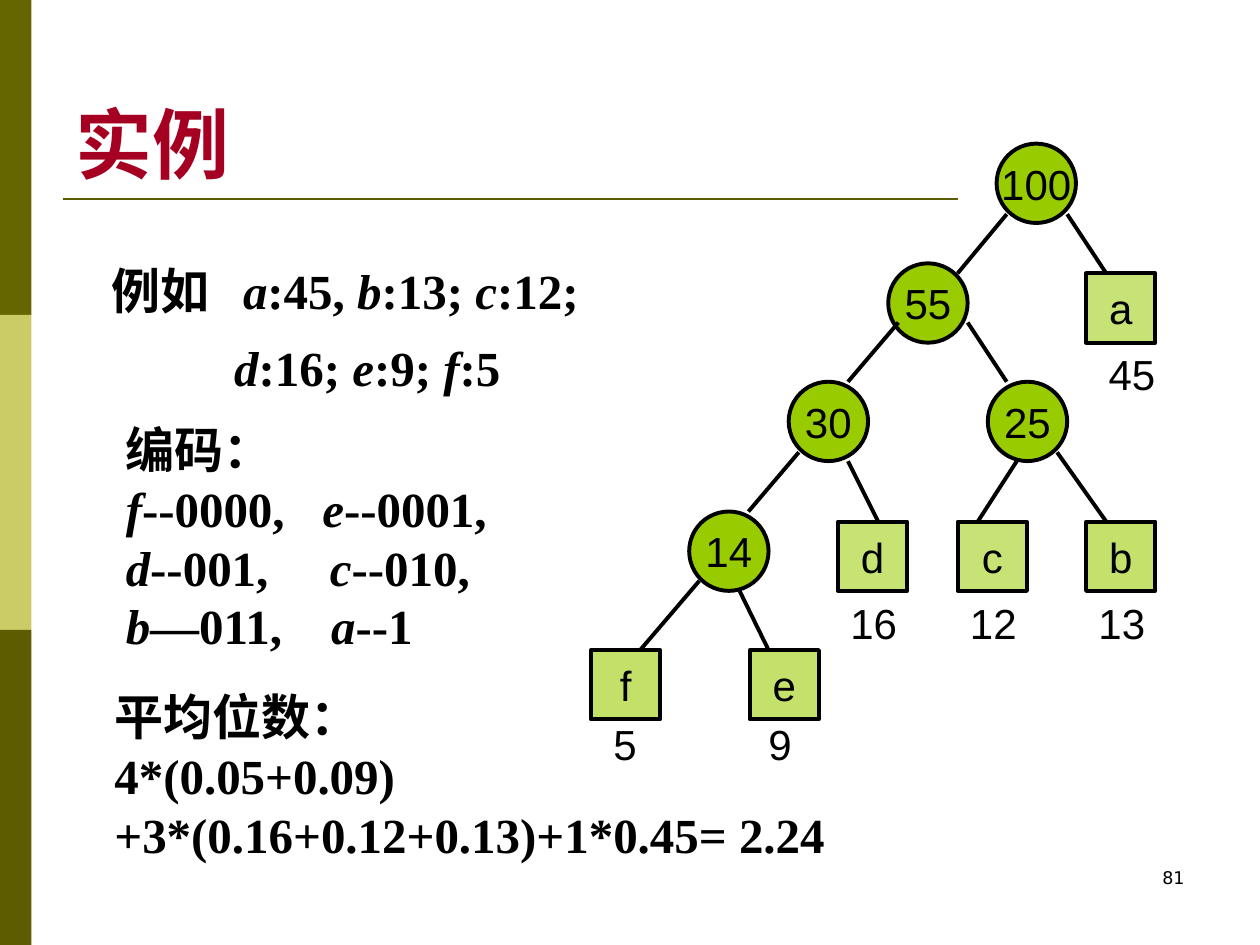
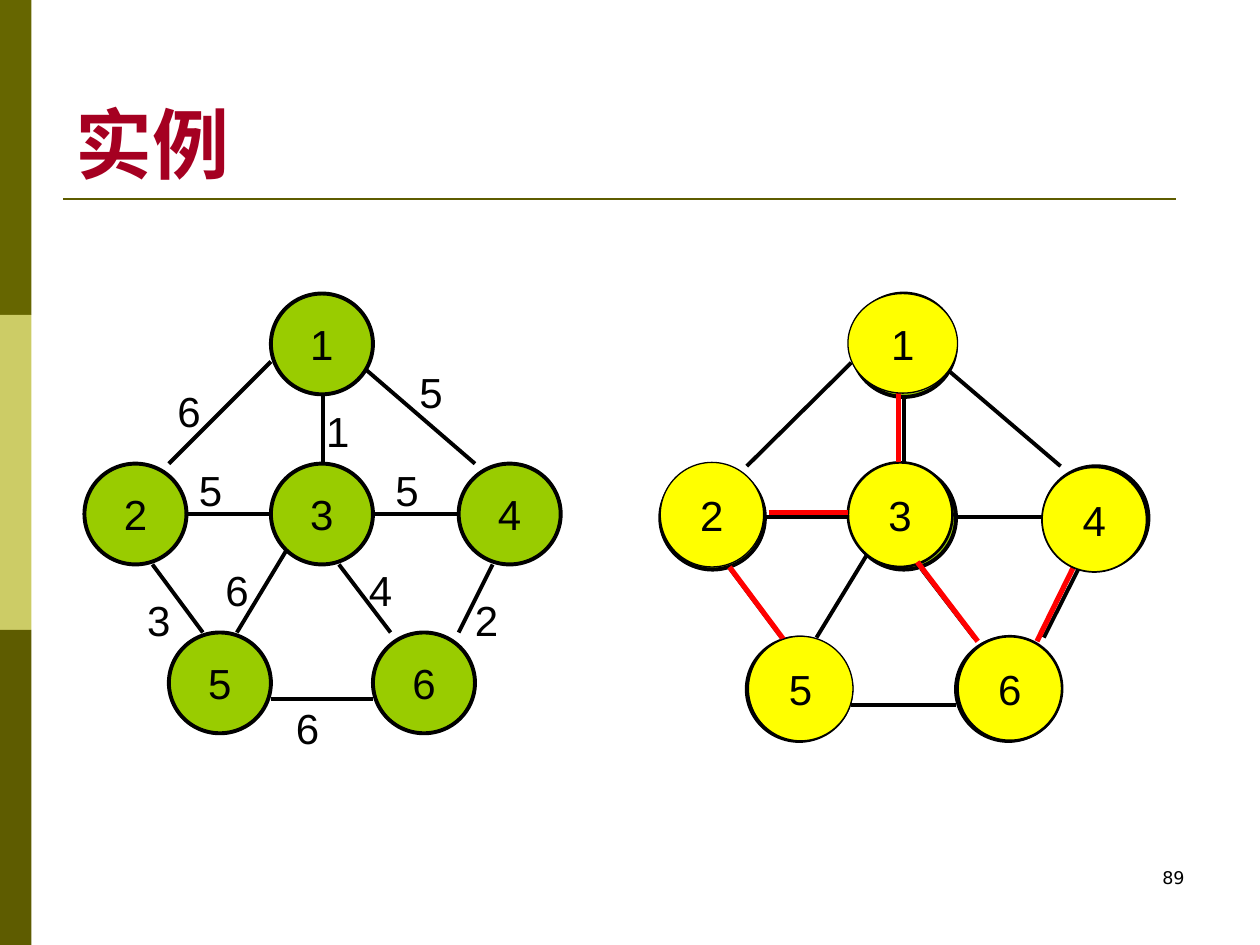
"""Build two example slides: a Huffman code tree and a minimum spanning tree."""
from lxml.etree import SubElement
from pptx import Presentation
from pptx.dml.color import RGBColor
from pptx.enum.shapes import MSO_CONNECTOR, MSO_SHAPE
from pptx.enum.text import MSO_ANCHOR, PP_ALIGN
from pptx.oxml.ns import qn
from pptx.util import Inches, Pt

BLACK = RGBColor(0x00, 0x00, 0x00)
CRIMSON = RGBColor(0xA5, 0x00, 0x21)
OLIVE = RGBColor(0x66, 0x66, 0x00)
KHAKI = RGBColor(0xCC, 0xCC, 0x66)
DARK_OLIVE = RGBColor(0x5E, 0x5C, 0x00)
LIME = RGBColor(0x99, 0xCC, 0x00)
YELLOW = RGBColor(0xFF, 0xFF, 0x00)
RED = RGBColor(0xFF, 0x00, 0x00)

LABEL_FONT = {"name": "Arial", "size": Pt(24), "bold": False}
TITLE_FONT = {"name": "Times New Roman", "size": Pt(44), "bold": True}
BODY_FONT = {"name": "Times New Roman", "size": Pt(28), "bold": True}
NUMBER_FONT = {"name": "DejaVu Sans", "size": Pt(10), "bold": False}


def add_box(page, place, text="", shape=None, fill=None, alpha=100, border=0,
            font=LABEL_FONT, color=BLACK, wrap=False, **layout):
    """Add a shape or text box; underscores in the text switch italics."""
    place = [Inches(length) for length in place]
    if shape is None:
        box = page.shapes.add_textbox(*place)
    else:
        box = page.shapes.add_shape(shape, *place)
        box.shadow.inherit = False
        box.fill.solid()
        box.fill.fore_color.rgb = fill
        if alpha < 100:
            tint = box._element.spPr.find(qn("a:solidFill"))[0]
            SubElement(tint, qn("a:alpha"), val=str(alpha * 1000))
        if border:
            box.line.color.rgb = BLACK
            box.line.width = Pt(border)
        else:
            box.line.fill.background()
    frame = box.text_frame
    frame.word_wrap = wrap
    frame.vertical_anchor = layout.get("anchor", MSO_ANCHOR.MIDDLE if shape else MSO_ANCHOR.TOP)
    for index, line in enumerate(text.split("\n") if text else []):
        para = frame.paragraphs[0] if index == 0 else frame.add_paragraph()
        para.alignment = layout.get("align", PP_ALIGN.CENTER if shape else PP_ALIGN.LEFT)
        para.line_spacing = layout.get("spacing", 1.0)
        for part, words in enumerate(line.split("_")):
            if words:
                span = para.add_run()
                span.text = words
                span.font.color.rgb = color
                span.font.italic = part % 2 == 1
                for key, value in font.items():
                    setattr(span.font, key, value)
    return box


def add_line(page, ends, color=BLACK, width=2.25):
    """Draw a straight line between two points."""
    line = page.shapes.add_connector(MSO_CONNECTOR.STRAIGHT, *[Inches(end) for end in ends])
    line.line.color.rgb = color
    line.line.width = Pt(width)
    SubElement(line._element.spPr, qn("a:effectLst"))


deck = Presentation()
deck.slide_width, deck.slide_height = Inches(10), Inches(7.5)

pages = []
for number, rule_end, title_width in [("81", 7.6, 6), ("89", 9.33, 9)]:
    page = deck.slides.add_slide(deck.slide_layouts[6])
    for row, band_color in enumerate([OLIVE, KHAKI, DARK_OLIVE]):
        add_box(page, (0, 2.5 * row, 0.25, 2.5), shape=MSO_SHAPE.RECTANGLE, fill=band_color)
    add_line(page, (0.5, 1.58, rule_end, 1.58), DARK_OLIVE, 1.5)
    add_box(page, (0.5, 0.3, title_width, 1.25), "实例", font=TITLE_FONT, color=CRIMSON,
            wrap=True, anchor=MSO_ANCHOR.BOTTOM)
    add_box(page, (7.17, 6.83, 2.33, 0.5), number, font=NUMBER_FONT, wrap=True,
            align=PP_ALIGN.RIGHT)
    pages.append(page)
tree_page, graph_page = pages

frequencies = add_box(tree_page, (0.79, 1.88, 4.29, 1.32),
                      "例如\t_a_:45, _b_:13; _c_:12;\n_d_:16; _e_:9; _f_:5",
                      font=BODY_FONT, wrap=True, spacing=1.3)
codes = add_box(tree_page, (0.9, 3.28, 3.94, 1.97),
                "编码：\n_f_--0000,\t_e_--0001,\n_d_--001,\t_c_--010,\n_b_—011,\t_a_--1",
                font=BODY_FONT, wrap=True)
add_box(tree_page, (0.81, 5.4, 7.34, 1.5),
        "平均位数：\n4*(0.05+0.09)\n+3*(0.16+0.12+0.13)+1*0.45= 2.24", font=BODY_FONT, wrap=True)

for box, row, stop in [(frequencies, 0, 1.04), (codes, 1, 1.56), (codes, 2, 1.62), (codes, 3, 1.63)]:
    settings = box.text_frame.paragraphs[row]._p.get_or_add_pPr()
    tabs = SubElement(settings, qn("a:tabLst"))
    SubElement(tabs, qn("a:tab"), pos=str(Inches(stop)), algn="l")
second_row = frequencies.text_frame.paragraphs[1]._p.get_or_add_pPr()
second_row.set("marL", str(Inches(0.97)))
second_row.set("indent", "0")

for sum_label, left, top in [("14", 5.47, 4.06), ("25", 7.84, 3.03), ("30", 6.26, 3.03),
                             ("55", 7.05, 2.09), ("100", 7.91, 1.14)]:
    add_box(tree_page, (left, top, 0.63, 0.63), sum_label, MSO_SHAPE.OVAL, LIME, border=2.25)

for letter, left, top, alpha, weight, weight_left, weight_top in [
    ("f", 4.69, 5.16, 59, "5", 4.77, 5.65),
    ("e", 5.95, 5.16, 58, "9", 6, 5.65),
    ("d", 6.65, 4.14, 55, "16", 6.65, 4.69),
    ("c", 7.6, 4.14, 54, "12", 7.6, 4.69),
    ("b", 8.62, 4.14, 58, "13", 8.62, 4.69),
    ("a", 8.62, 2.17, 54, "45", 8.7, 2.72),
]:
    add_box(tree_page, (left, top, 0.55, 0.55), letter, MSO_SHAPE.RECTANGLE, LIME, alpha, 2.25)
    add_box(tree_page, (weight_left, weight_top, 0.21 + 0.18 * len(weight), 0.5), weight)

for branch in [
    (5.55, 4.61, 5.08, 5.16), (5.87, 4.69, 6.1, 5.16),
    (8.07, 3.66, 7.76, 4.14), (8.39, 3.59, 8.78, 4.14),
    (6.34, 3.59, 5.94, 4.06), (6.73, 3.66, 6.97, 4.14),
    (7.13, 2.56, 6.73, 3.03), (7.68, 2.56, 7.99, 3.03),
    (7.99, 1.7, 7.6, 2.17), (8.47, 1.7, 8.78, 2.17),
]:
    add_line(tree_page, branch)

EDGES = [
    (2.15, 2.87, 1.34, 3.68), (1.21, 4.48, 1.61, 5.02), (1.48, 4.08, 2.29, 4.08),
    (2.56, 3.14, 2.56, 3.68), (2.29, 4.34, 1.88, 5.02), (2.96, 4.08, 3.64, 4.08),
    (2.69, 4.48, 3.1, 5.02), (2.15, 5.55, 2.96, 5.55), (3.91, 4.48, 3.64, 5.02),
    (2.83, 2.87, 3.77, 3.68),
]
VERTICES = {"1": (2.15, 2.33), "2": (0.67, 3.68), "4": (3.64, 3.68),
            "3": (2.15, 3.68), "5": (1.34, 5.02), "6": (2.96, 5.02)}
GRAPH_LEFT, GRAPH_TOP = 0.67, 2.33

for left, scale_x, scale_y, labelled in [(0.67, 1, 1, True), (5.24, 1.025, 1.015, False)]:
    for x1, y1, x2, y2 in EDGES:
        add_line(graph_page, (left + (x1 - GRAPH_LEFT) * scale_x,
                              GRAPH_TOP + (y1 - GRAPH_TOP) * scale_y,
                              left + (x2 - GRAPH_LEFT) * scale_x,
                              GRAPH_TOP + (y2 - GRAPH_TOP) * scale_y))
    for vertex, (x, y) in VERTICES.items():
        add_box(graph_page, (left + (x - GRAPH_LEFT) * scale_x,
                             GRAPH_TOP + (y - GRAPH_TOP) * scale_y,
                             0.81 * scale_x, 0.8 * scale_x),
                vertex if labelled else "", MSO_SHAPE.OVAL, LIME, border=2.25)

for cost, left, top in [
    ("6", 1.31, 3.01), ("1", 2.49, 3.17), ("5", 3.23, 2.86), ("5", 1.48, 3.64), ("6", 1.69, 4.43),
    ("3", 1.07, 4.67), ("6", 2.25, 5.53), ("5", 3.04, 3.64), ("4", 2.83, 4.43), ("2", 3.67, 4.67),
]:
    add_box(graph_page, (left, top, 0.39, 0.5), cost)

for vertex, place, border, tree_edges in [
    ("3", (6.73, 3.67, 0.83, 0.83), 1.5, [(7.13, 3.04, 7.13, 3.67)]),
    ("6", (7.6, 5.05, 0.83, 0.83), 1.5, [(7.28, 4.46, 7.76, 5.09), (8.54, 4.46, 8.23, 5.09)]),
    ("4", (8.27, 3.71, 0.83, 0.83), 1, [(6.1, 4.07, 6.73, 4.07)]),
    ("2", (5.24, 3.67, 0.82, 0.83), 0.75, [(5.79, 4.5, 6.26, 5.13)]),
    ("5", (5.94, 5.05, 0.83, 0.83), 0.75, []),
    ("1", (6.73, 2.33, 0.87, 0.79), 0.75, []),
]:
    add_box(graph_page, place, vertex, MSO_SHAPE.OVAL, YELLOW, border=border)
    for edge in tree_edges:
        add_line(graph_page, edge, RED, 3)

deck.save("out.pptx")
